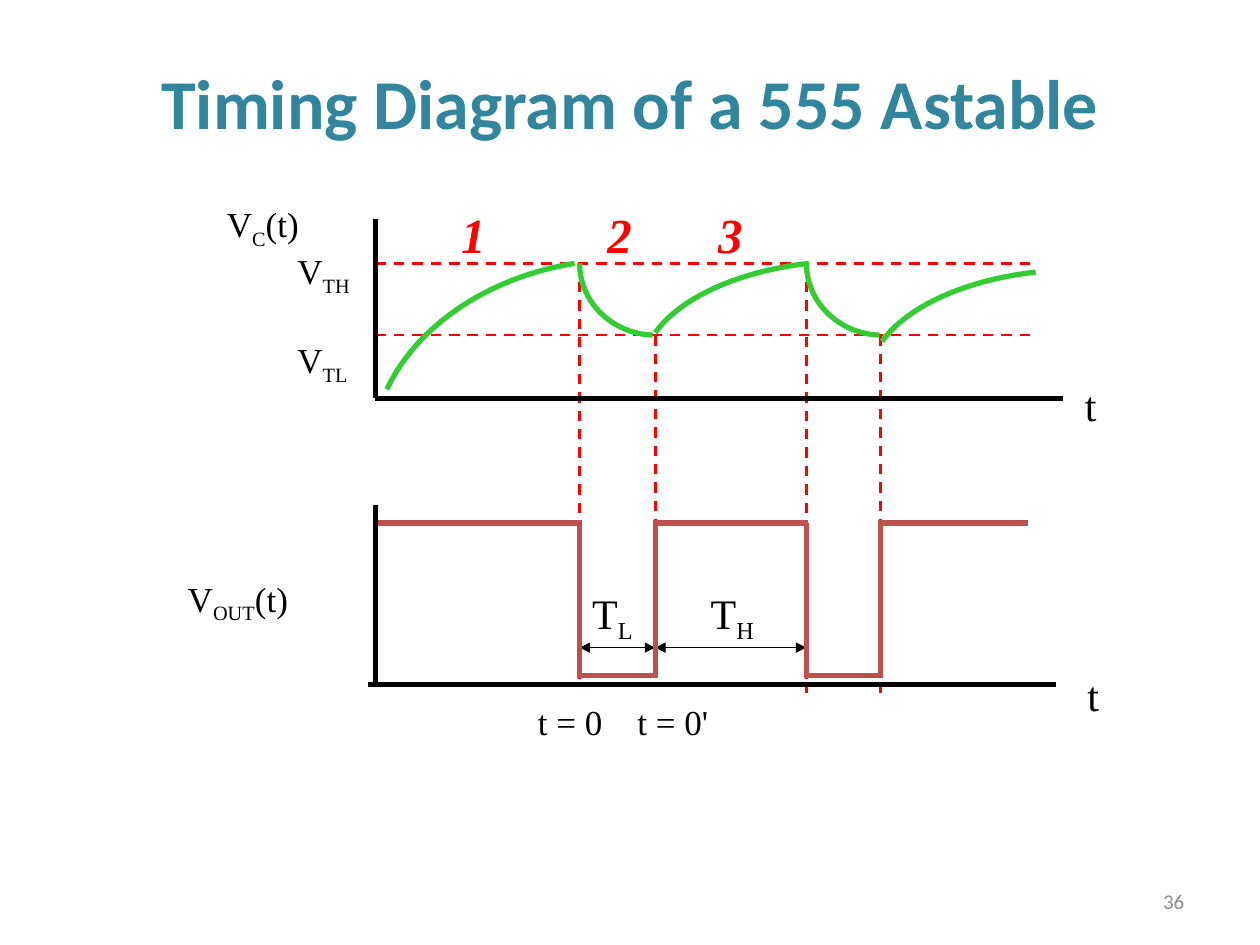
from dataclasses import dataclass

from lxml import etree
from pptx import Presentation
from pptx.dml.color import RGBColor
from pptx.enum.dml import MSO_LINE
from pptx.enum.shapes import MSO_CONNECTOR
from pptx.enum.text import MSO_ANCHOR, PP_ALIGN
from pptx.oxml.ns import qn
from pptx.util import Emu, Inches, Pt

STRAIGHT, DASH = MSO_CONNECTOR.STRAIGHT, MSO_LINE.DASH
LEFT, CENTER, RIGHT = PP_ALIGN.LEFT, PP_ALIGN.CENTER, PP_ALIGN.RIGHT
MIDDLE, TOP = MSO_ANCHOR.MIDDLE, MSO_ANCHOR.TOP
SERIF, SANS = "Times New Roman", "Calibri"
COLORS = {"title": "31859C", "number": "8C8C8C", "axis": "000000",
          "guide": "FF0000", "charge": "33CC33", "output": "C0504D"}

# Grid of 100 columns by 75 rows
COLS, ROWS = 100, 75
WIDTH, HEIGHT = Inches(10), Inches(7.5)
ORIGIN = 29.8
EDGES = (46, 52, 64, 69.9)          # switching instants
V_TH, V_TL = 20.9, 26.6             # threshold rows
OUT_HIGH, OUT_LOW = 41.5, 53.6      # output rows
BASE_C, BASE_OUT = 31.6, 54.3       # time axes


@dataclass
class Line:
    x1: float
    y1: float
    x2: float
    y2: float
    color: str
    weight: float = 3
    dashed: bool = False
    arrows: bool = False


@dataclass
class Label:
    x: float
    y: float
    text: str
    sub: str = ""
    tail: str = ""
    size: float = 20
    color: str = "axis"
    strong: bool = False


def col(x: float) -> Emu:
    return Emu(round(x * WIDTH / COLS))


def row(y: float) -> Emu:
    return Emu(round(y * HEIGHT / ROWS))


def rgb(name: str) -> RGBColor:
    return RGBColor.from_string(COLORS[name])


def add_run(p, text: str, font: str, size: float, color: str, strong=False):
    r = p.add_run()
    r.text = text
    r.font.name, r.font.size = font, Pt(size)
    r.font.color.rgb = rgb(color)
    r.font.bold = strong
    return r


def add_box(shapes, x, y, w, h, anchor=TOP, align=LEFT):
    tf = shapes.add_textbox(col(x), row(y), col(w), row(h)).text_frame
    tf.margin_left = tf.margin_right = tf.margin_top = tf.margin_bottom = 0
    tf.vertical_anchor, tf.word_wrap = anchor, False
    p = tf.paragraphs[0]
    p.alignment = align
    return p


def draw_line(shapes, ln: Line) -> None:
    c = shapes.add_connector(STRAIGHT, col(ln.x1), row(ln.y1),
                             col(ln.x2), row(ln.y2))
    c.line.color.rgb, c.line.width = rgb(ln.color), Pt(ln.weight)
    if ln.dashed:
        c.line.dash_style = DASH
    if ln.arrows:
        for end in ("a:headEnd", "a:tailEnd"):
            etree.SubElement(c.line._get_or_add_ln(), qn(end), type="triangle")
    etree.SubElement(c._element.spPr, qn("a:effectLst"))


def draw_curve(shapes, points, steps: int = 20) -> None:
    """Draw a cubic curve through its four control points."""
    def at(t: float):
        weights = ((1 - t) ** 3, 3 * t * (1 - t) ** 2, 3 * t * t * (1 - t), t ** 3)
        x, y = (sum(k * v for k, v in zip(weights, axis)) for axis in zip(*points))
        return col(x), row(y)

    path = [at(i / steps) for i in range(steps + 1)]
    fb = shapes.build_freeform(*path[0])
    fb.add_line_segments(path[1:], close=False)
    sp = fb.convert_to_shape()
    sp.fill.background()
    sp.line.color.rgb, sp.line.width = rgb("charge"), Pt(3)
    sp.shadow.inherit = False


def draw_label(shapes, lb: Label) -> None:
    p = add_box(shapes, lb.x, lb.y, 10, 4)
    for text, base in ((lb.text, None), (lb.sub, "-25000"), (lb.tail, None)):
        if text:
            r = add_run(p, text, SERIF, lb.size, lb.color, lb.strong)
            r.font.italic = lb.strong
            if base:
                r._r.get_or_add_rPr().set("baseline", base)


def shifted(points, dx: float, dy: float):
    return [(x + dx, y + dy) for x, y in points]


def main() -> None:
    prs = Presentation()
    prs.slide_width, prs.slide_height = WIDTH, HEIGHT
    s = prs.slides.add_slide(prs.slide_layouts[5])
    shapes = s.shapes

    # Title and slide number
    title = shapes.title
    title.left, title.top, title.width, title.height = col(5), row(3), col(90), row(10.1)
    title.text_frame.vertical_anchor = MIDDLE
    p = title.text_frame.paragraphs[0]
    p.alignment = CENTER
    add_run(p, "Timing Diagram of a 555 Astable", SANS, 40, "title", True)
    p = add_box(shapes, 71.7, 69.5, 22.3, 4, MIDDLE, RIGHT)
    add_run(p, "36", SANS, 12, "number")

    # Threshold and switching guides, then axes
    ends = (BASE_OUT, BASE_OUT, 55, 55)
    guides = [Line(x, y, x, end, "guide", 1.5, True)
              for x, y, end in zip(EDGES, (V_TH, V_TL) * 2, ends)]
    guides += [Line(ORIGIN, y, 81.9, y, "guide", 1.5, True) for y in (V_TH, V_TL)]
    axes = [Line(ORIGIN, base - 14.2, ORIGIN, base, "axis") for base in (BASE_C, BASE_OUT)]
    axes += [Line(x, base, x + 54.6, base, "axis")
             for x, base in ((ORIGIN, BASE_C), (29.2, BASE_OUT))]
    for ln in guides + axes:
        draw_line(shapes, ln)

    # Capacitor voltage: first charge, then repeated discharge and charge
    draw_curve(shapes, [(30.7, 30.9), (33.1, 25.8), (38.8, 22), (45.6, V_TH)])
    discharge = [(46, V_TH), (46, 24), (48.6, 26.5), (51.8, V_TL)]
    charge = [(52, 26.4), (54, 23.6), (58.7, 21.5), (64.2, V_TH)]
    for dx, dy in ((0, 0), (18, 0.7)):
        draw_curve(shapes, shifted(discharge, dx, 0))
        draw_curve(shapes, shifted(charge, dx, dy))

    # Output voltage
    fall1, rise1, fall2, rise2 = EDGES
    highs = ((30, fall1 + 0.2), (rise1 - 0.2, fall2 + 0.1), (rise2 - 0.2, 81.6))
    output = [Line(a, OUT_HIGH, b, OUT_HIGH, "output") for a, b in highs]
    output += [Line(a, OUT_LOW, b, OUT_LOW, "output")
               for a, b in ((fall1, rise1), (fall2, rise2))]
    output += [Line(x, OUT_HIGH, x, OUT_LOW + 0.2, "output") for x in EDGES]
    spans = [Line(a, 51.4, b, 51.4, "axis", 1, arrows=True)
             for a, b in ((fall1, rise1), (rise1, fall2))]
    for ln in spans + output:
        draw_line(shapes, ln)

    # Labels
    labels = [
        Label(18, 16.1, "V", "C", "(t)"),
        Label(23.6, 19.8, "V", "TH"),
        Label(23.6, 26.9, "V", "TL"),
        Label(14.9, 45.8, "V", "OUT", "(t)"),
        Label(47, 46.6, "T", "L", size=24),
        Label(56.4, 46.6, "T", "H", size=24),
        Label(42.7, 55.6, "t = 0"),
        Label(50.6, 55.6, "t = 0'"),
        Label(86.1, 30.1, "t", size=24),
        Label(86.3, 53.1, "t", size=24),
    ]
    labels += [Label(x, 16.2, str(n), size=28, color="guide", strong=True)
               for n, x in enumerate((36.6, 48.2, 57), 1)]
    for lb in labels:
        draw_label(shapes, lb)

    prs.save("out.pptx")


if __name__ == "__main__":
    main()
